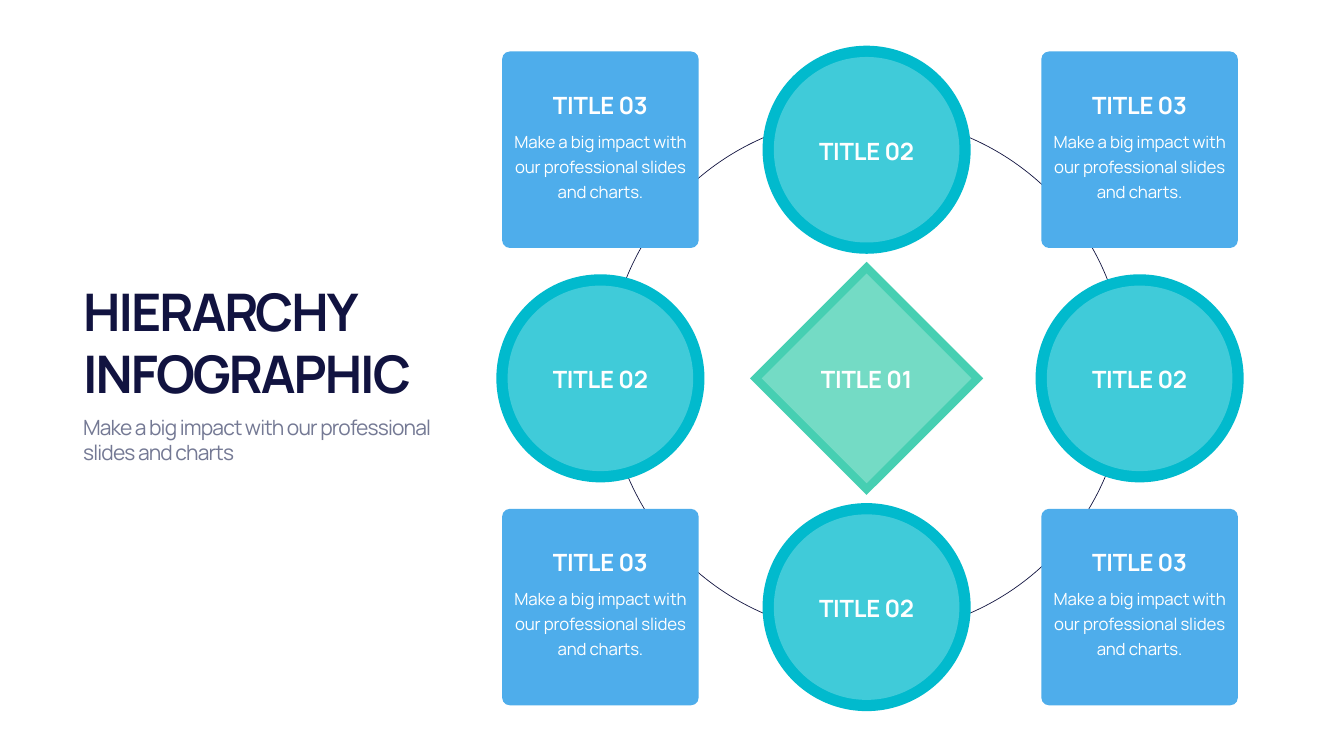
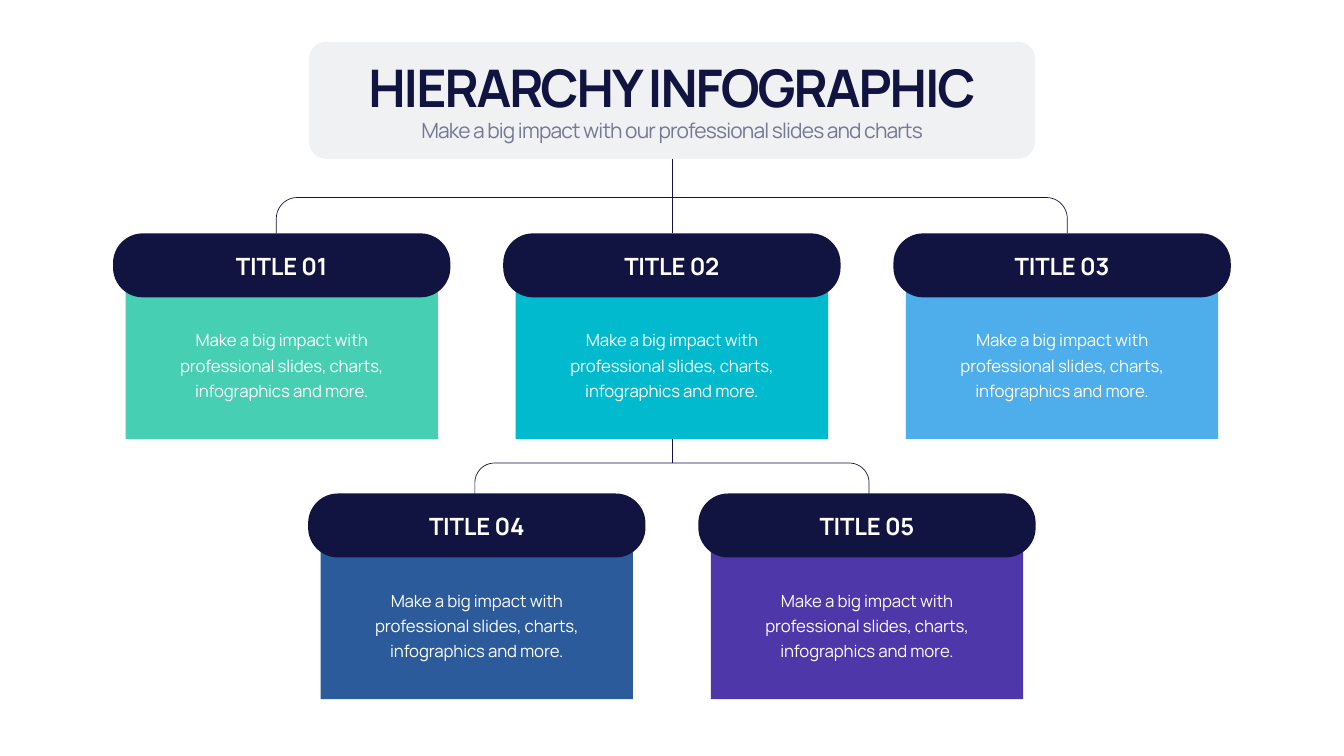
from dataclasses import dataclass
from math import cos, pi, sin

from lxml import etree
from pptx import Presentation
from pptx.dml.color import RGBColor
from pptx.enum.shapes import MSO_CONNECTOR, MSO_SHAPE
from pptx.enum.text import MSO_ANCHOR as Anchor, MSO_AUTO_SIZE, PP_ALIGN as Align
from pptx.oxml.ns import qn
from pptx.shapes.autoshape import Shape
from pptx.slide import Slide
from pptx.util import Pt

FONT = "Manrope"
NAVY = RGBColor(0x11, 0x13, 0x40)
SLATE = RGBColor(0x74, 0x79, 0x94)
WHITE = RGBColor(0xFF, 0xFF, 0xFF)
GREY = RGBColor(0xC3, 0xC8, 0xCE)
GREEN = RGBColor(0x46, 0xCF, 0xB2)
TEAL = RGBColor(0x01, 0xBA, 0xCD)
SKY = RGBColor(0x4E, 0xAD, 0xEB)
BLUE = RGBColor(0x2B, 0x5B, 0x9A)
PURPLE = RGBColor(0x4E, 0x37, 0xA9)

TITLE = "HIERARCHY INFOGRAPHIC"
SUBTITLE = "Make a big impact with our professional slides and charts"
BLOCK_TEXT = "Make a big impact with our professional slides and charts."
CARD_TEXT = "Make a big impact with professional slides, charts, infographics and more."


@dataclass(frozen=True)
class Box:
    left: float
    top: float
    width: float
    height: float

    @classmethod
    def centred(cls, x: float, y: float, width: float, height: float) -> "Box":
        return cls(x - width / 2, y - height / 2, width, height)

    def emu(self) -> tuple[int, ...]:
        return tuple(Pt(v) for v in (self.left, self.top, self.width, self.height))


@dataclass(frozen=True)
class TextStyle:
    size: float
    color: RGBColor
    spacing: int  # hundredths of a point
    bold: bool = False
    leading: float | None = None


HEADLINE = TextStyle(74, NAVY, -290, bold=True)
SUBHEAD = TextStyle(30, SLATE, -120)
LABEL = TextStyle(34, WHITE, -30, bold=True)
BODY = TextStyle(24, WHITE, -20, leading=36)
LABEL_HEIGHT = 48
BODY_HEIGHT = 114.5


@dataclass(frozen=True)
class Card:
    label: str
    x: float
    top: float
    color: RGBColor


def write(shape: Shape, text: str, style: TextStyle, align: Align, anchor: Anchor) -> None:
    frame = shape.text_frame
    frame_format = {"word_wrap": True, "vertical_anchor": anchor,
                    "auto_size": MSO_AUTO_SIZE.SHAPE_TO_FIT_TEXT}
    for key, value in frame_format.items():
        setattr(frame, key, value)
    paragraph = frame.paragraphs[0]
    paragraph.alignment = align
    if style.leading:
        paragraph.line_spacing = Pt(style.leading)
    run = paragraph.add_run()
    run.text = text
    for key, value in {"name": FONT, "size": Pt(style.size), "bold": style.bold}.items():
        setattr(run.font, key, value)
    run.font.color.rgb = style.color
    run._r.get_or_add_rPr().set("spc", str(style.spacing))


def add_text(slide: Slide, box: Box, text: str, style: TextStyle,
             align: Align = Align.CENTER, anchor: Anchor = Anchor.MIDDLE) -> None:
    write(slide.shapes.add_textbox(*box.emu()), text, style, align, anchor)


def add_heading(slide: Slide, title_box: Box, subtitle_box: Box, align: Align) -> None:
    """Place title and subtitle above everything drawn so far."""
    title = slide.shapes.title
    slide.shapes._spTree.append(title._element)
    for key, value in zip(("left", "top", "width", "height"), title_box.emu()):
        setattr(title, key, value)
    write(title, TITLE, HEADLINE, align, Anchor.BOTTOM)
    add_text(slide, subtitle_box, SUBTITLE, SUBHEAD, align, Anchor.TOP)


def add_filled(slide: Slide, kind: MSO_SHAPE, box: Box, color: RGBColor,
               opacity: int = 100, corner: float | None = None) -> None:
    shape = slide.shapes.add_shape(kind, *box.emu())
    shape.shadow.inherit = False
    shape.fill.solid()
    shape.fill.fore_color.rgb = color
    shape.line.fill.background()
    if corner is not None:
        shape.adjustments[0] = corner
    if opacity < 100:
        tint = shape._element.spPr.find(f"{qn('a:solidFill')}/{qn('a:srgbClr')}")
        etree.SubElement(tint, qn("a:alpha")).set("val", str(opacity * 1000))


def outline(shape: Shape) -> None:
    shape.shadow.inherit = False
    shape.fill.background()
    shape.line.color.rgb = NAVY
    shape.line.width = Pt(1)


def add_framed(slide: Slide, kind: MSO_SHAPE, x: float, y: float,
               outer: float, inner: float, color: RGBColor) -> None:
    """Draw a coloured figure with a lighter figure inside it."""
    add_filled(slide, kind, Box.centred(x, y, outer, outer), color)
    add_filled(slide, kind, Box.centred(x, y, inner, inner), WHITE, opacity=25)


def add_stem(slide: Slide, x: float, top: float, bottom: float) -> None:
    stem = slide.shapes.add_connector(MSO_CONNECTOR.STRAIGHT, Pt(x), Pt(top), Pt(x), Pt(bottom))
    stem.line.color.rgb = NAVY
    stem.line.width = Pt(1)
    etree.SubElement(stem._element.spPr, qn("a:effectLst"))


def add_bracket(slide: Slide, box: Box, radius: float, steps: int = 12) -> None:
    """Draw a bar with rounded corners whose two ends point down."""
    right, bottom = box.left + box.width, box.top + box.height
    turns = [pi / 2 * step / steps for step in range(steps + 1)]
    centre_y = box.top + radius
    points = [(box.left + radius - radius * cos(a), centre_y - radius * sin(a)) for a in turns]
    points += [(right - radius + radius * sin(a), centre_y - radius * cos(a)) for a in turns]
    points.append((right, bottom))
    builder = slide.shapes.build_freeform(Pt(box.left), Pt(bottom))
    builder.add_line_segments([(Pt(x), Pt(y)) for x, y in points], close=False)
    outline(builder.convert_to_shape())


def build_ring_slide(slide: Slide) -> None:
    left, middle, right = 857.5, 1237.7, 1627.6
    top, centre, bottom = 213.9, 540.5, 867.3
    circles = [(middle, top), (middle, bottom), (left, centre), (right, centre)]
    blocks = [(x, y) for x in (left, right) for y in (top, bottom)]

    ring = slide.shapes.add_shape(MSO_SHAPE.OVAL, *Box.centred(middle, 536.4, 740.5, 740.5).emu())
    outline(ring)
    add_framed(slide, MSO_SHAPE.DIAMOND, middle, centre, 333, 299.5, GREEN)
    for x, y in circles:
        add_framed(slide, MSO_SHAPE.OVAL, x, y, 297.2, 265, TEAL)
    for x, y in blocks:
        add_filled(slide, MSO_SHAPE.ROUNDED_RECTANGLE, Box.centred(x, y, 280.8, 280.8),
                   SKY, corner=0.04)

    add_heading(slide, Box(111.6, 394.6, 530.6, 186.5), Box(111.6, 589, 530.6, 80), Align.LEFT)
    labels = [("TITLE 01", middle, centre)] + [("TITLE 02", x, y) for x, y in circles]
    for label, x, y in labels:
        add_text(slide, Box.centred(x, y + 1.5, 247.7, LABEL_HEIGHT), label, LABEL)
    for x, y in blocks:
        add_text(slide, Box(x - 130.7, y - 88, 261.4, LABEL_HEIGHT), "TITLE 03", LABEL,
                 anchor=Anchor.BOTTOM)
        add_text(slide, Box(x - 130.7, y - 37, 261.4, BODY_HEIGHT), BLOCK_TEXT, BODY,
                 anchor=Anchor.TOP)


def add_card(slide: Slide, card: Card) -> None:
    add_filled(slide, MSO_SHAPE.RECTANGLE, Box(card.x - 223, card.top + 83.5, 446, 210.2),
               card.color)
    add_filled(slide, MSO_SHAPE.ROUNDED_RECTANGLE, Box(card.x - 240.9, card.top, 481.8, 91.4),
               NAVY, corner=0.465)
    add_text(slide, Box(card.x - 198.4, card.top + 22.6, 396.8, LABEL_HEIGHT), card.label, LABEL)
    add_text(slide, Box(card.x - 198.4, card.top + 127.8, 396.8, BODY_HEIGHT), CARD_TEXT, BODY)


def build_tree_slide(slide: Slide) -> None:
    centre, step = 959.6, 557.3
    upper, lower = 333.4, 705
    add_filled(slide, MSO_SHAPE.ROUNDED_RECTANGLE, Box(441.4, 59.8, 1036.8, 167),
               GREY, opacity=25, corner=0.145)
    rows = [(upper, (GREEN, TEAL, SKY)), (lower, (BLUE, PURPLE))]
    number = 0
    for top, colors in rows:
        first = centre - step * (len(colors) - 1) / 2
        for column, color in enumerate(colors):
            number += 1
            add_card(slide, Card(f"TITLE {number:02}", first + column * step, top, color))
    add_stem(slide, centre, 226.8, upper)
    add_stem(slide, centre, 626.5, 661.5)
    add_bracket(slide, Box(394.6, 282.2, 1129.7, 51.2), 30)
    add_bracket(slide, Box(678.2, 661.5, 563, 43.5), 28)
    add_heading(slide, Box(474.5, 74.2, 970.6, 97.2), Box(474.5, 164.2, 970.6, 44), Align.CENTER)


def main() -> None:
    deck = Presentation()
    deck.slide_width, deck.slide_height = Pt(1919.52), Pt(1080)
    title_only = deck.slide_layouts[5]
    for build in (build_ring_slide, build_tree_slide):
        build(deck.slides.add_slide(title_only))
    deck.save("out.pptx")


if __name__ == "__main__":
    main()
